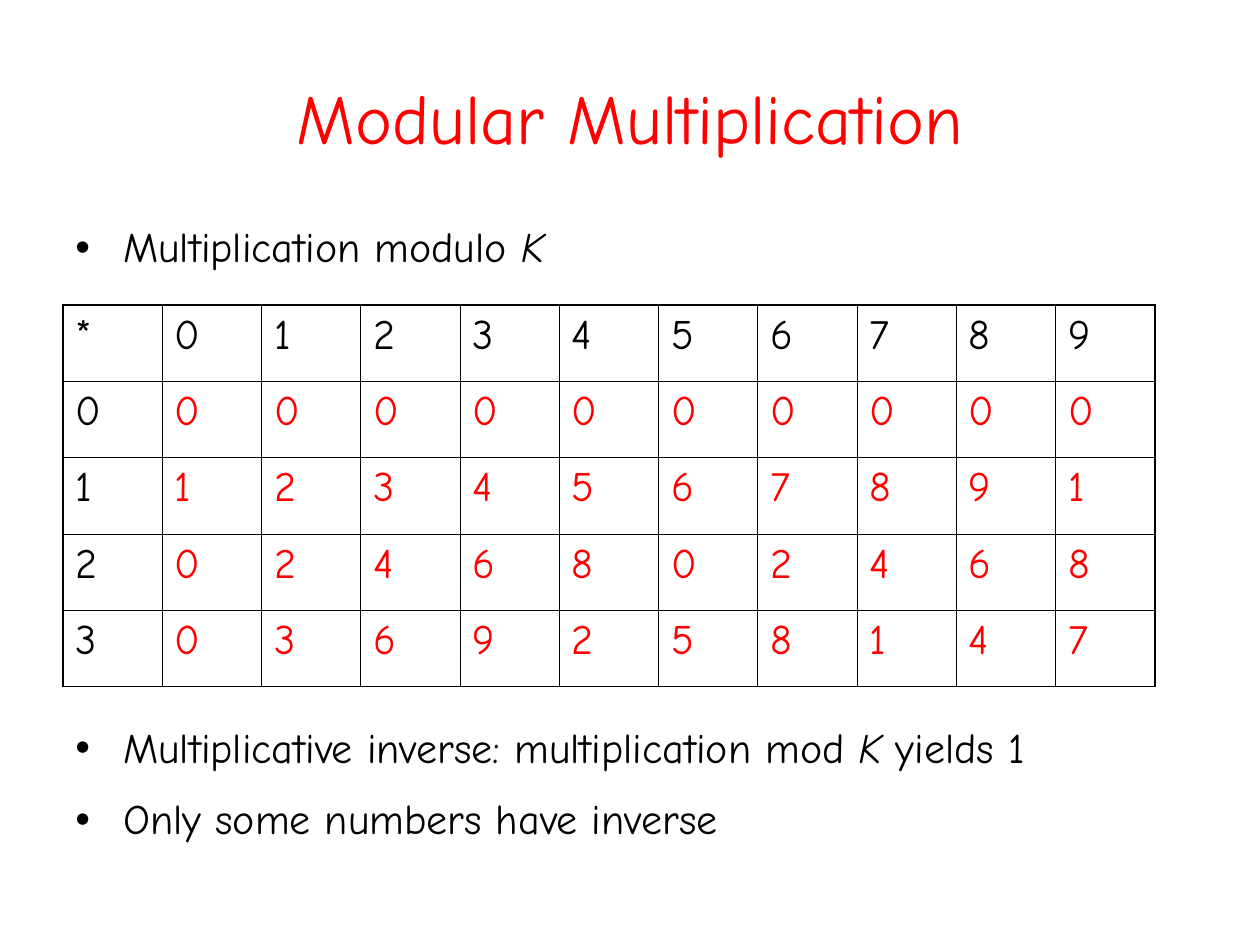
from lxml.etree import SubElement
from pptx import Presentation
from pptx.dml.color import RGBColor
from pptx.enum.text import MSO_ANCHOR, PP_ALIGN
from pptx.oxml.ns import qn
from pptx.util import Inches, Pt

BLACK = RGBColor(0, 0, 0)
RED = RGBColor(255, 0, 0)

TITLE = "Modular Multiplication"
POINTS = [
    (0, ["Multiplication modulo ", "K"]),
    (257, ["Multiplicative inverse: multiplication mod ", "K", " yields 1"]),
    (12, ["Only some numbers have inverse"]),
]
ROWS = [
    "*0123456789",
    "00000000000",
    "11234567891",
    "20246802468",
    "30369258147",
]
THIN, THICK = 0.45, 1.08


def put(thing, values):
    for name, value in values.items():
        setattr(thing, name, value)


def write(para, text, size, color, italic=False):
    run = para.add_run()
    run.text = text
    put(run.font, {"name": "Comic Neue", "size": Pt(size), "italic": italic})
    run.font.color.rgb = color


def add_box(slide, place, anchor):
    frame = slide.shapes.add_textbox(*map(Inches, place)).text_frame
    put(frame, {"word_wrap": True, "vertical_anchor": anchor})
    return frame


def add_bullet(para):
    props = para._p.get_or_add_pPr()
    props.set("marL", str(Inches(0.38)))
    props.set("indent", str(-Inches(0.38)))
    tint = SubElement(props, qn("a:buClr"))
    SubElement(tint, qn("a:srgbClr"), val=str(BLACK))
    SubElement(props, qn("a:buFont"), typeface="Arial")
    SubElement(props, qn("a:buChar"), char="•")


def add_edges(cell, widths):
    props = cell._tc.get_or_add_tcPr()
    for spot, (side, width) in enumerate(widths.items()):
        line = SubElement(props, qn(f"a:ln{side}"), w=str(Pt(width)))
        fill = SubElement(line, qn("a:solidFill"))
        SubElement(fill, qn("a:srgbClr"), val=str(BLACK))
        props.insert(spot, line)


def add_title(slide):
    para = add_box(slide, (0.5, 0.3, 9, 1.25), MSO_ANCHOR.MIDDLE).paragraphs[0]
    put(para, {"alignment": PP_ALIGN.CENTER, "space_after": Pt(3)})
    write(para, TITLE, 40, RED)


def add_points(slide):
    frame = add_box(slide, (0.5, 1.75, 8.75, 5.5), MSO_ANCHOR.TOP)
    for index, (gap, parts) in enumerate(POINTS):
        para = frame.add_paragraph() if index else frame.paragraphs[0]
        add_bullet(para)
        put(para, {"line_spacing": 0.9, "space_before": Pt(gap), "space_after": Pt(3)})
        for part in parts:
            write(para, part, 24, BLACK, part == "K")


def add_grid(slide):
    last_row, last_col = len(ROWS) - 1, len(ROWS[0]) - 1
    place = map(Inches, (0.5, 2.42, 8.67, 3.03))
    table = slide.shapes.add_table(len(ROWS), len(ROWS[0]), *place).table
    put(table, {"first_row": False, "horz_banding": False})
    for row, marks in enumerate(ROWS):
        for col, mark in enumerate(marks):
            cell = table.cell(row, col)
            cell.fill.background()
            outer = {"L": col == 0, "R": col == last_col,
                     "T": row == 0, "B": row == last_row}
            add_edges(cell, {side: THICK if edge else THIN for side, edge in outer.items()})
            para = cell.text_frame.paragraphs[0]
            para.space_after = Pt(3)
            write(para, mark, 24, RED if row and col else BLACK)


def main():
    deck = Presentation()
    put(deck, {"slide_width": Inches(10), "slide_height": Inches(7.5)})
    slide = deck.slides.add_slide(deck.slide_layouts[6])
    for build in (add_title, add_points, add_grid):
        build(slide)
    deck.save("out.pptx")


if __name__ == "__main__":
    main()
